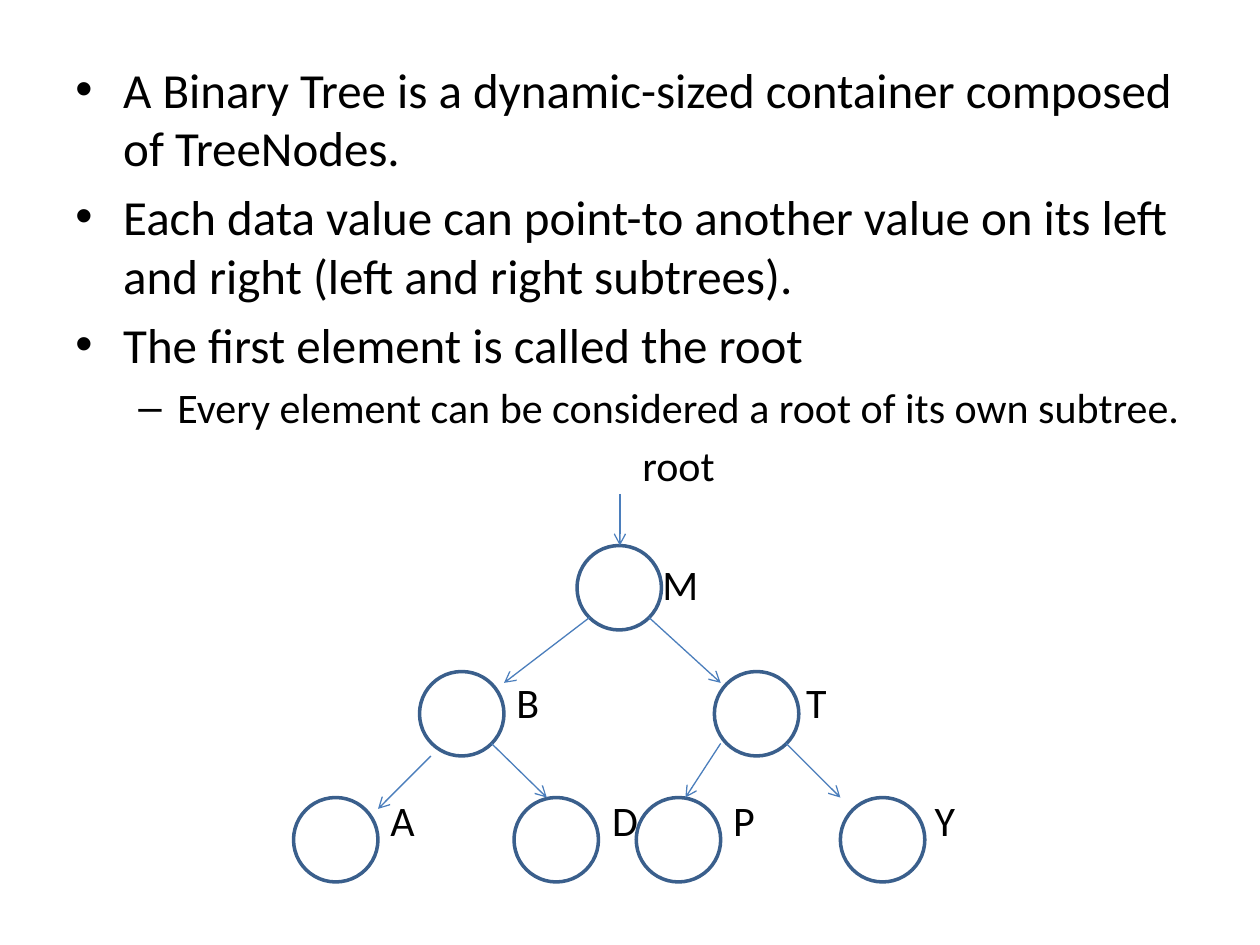
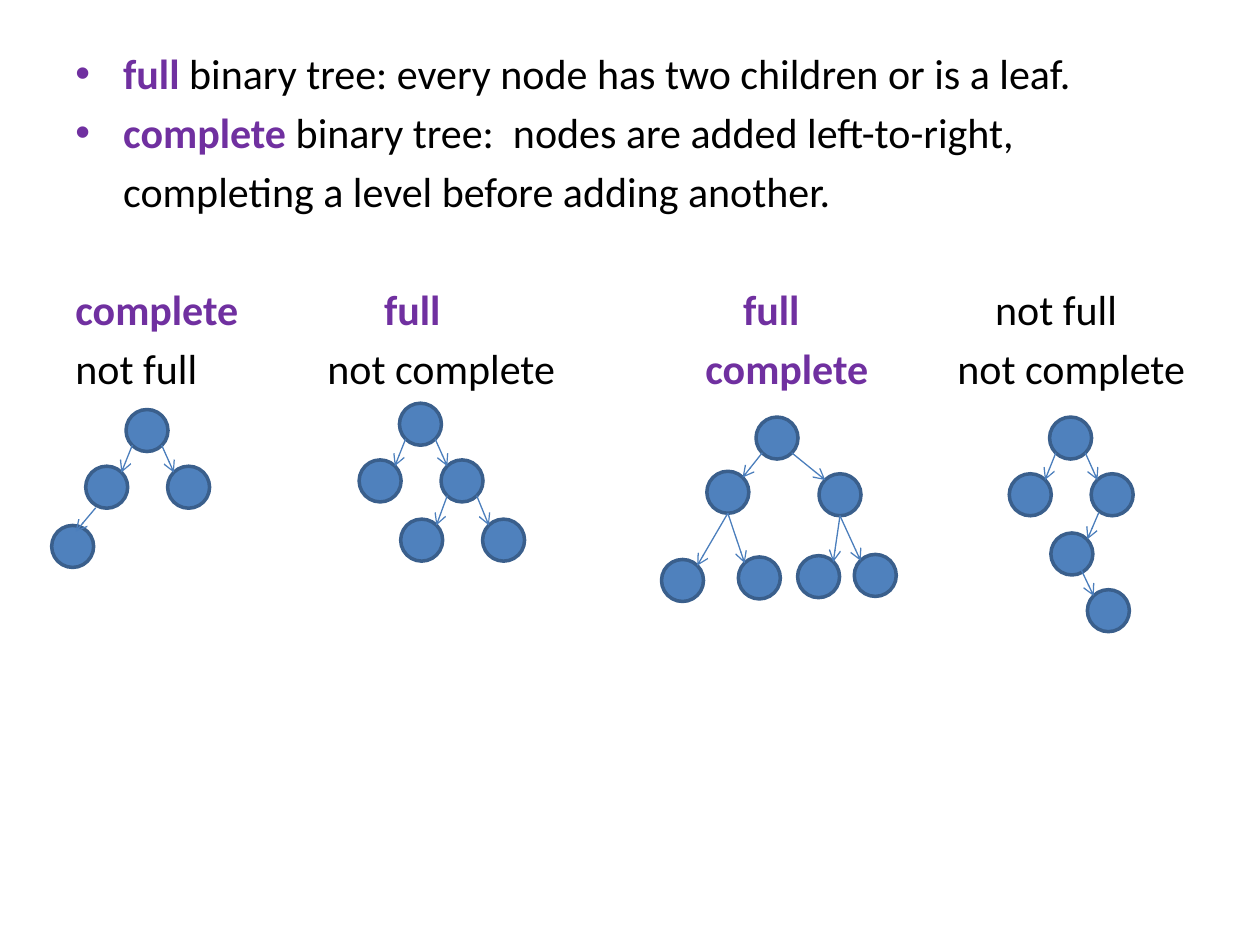
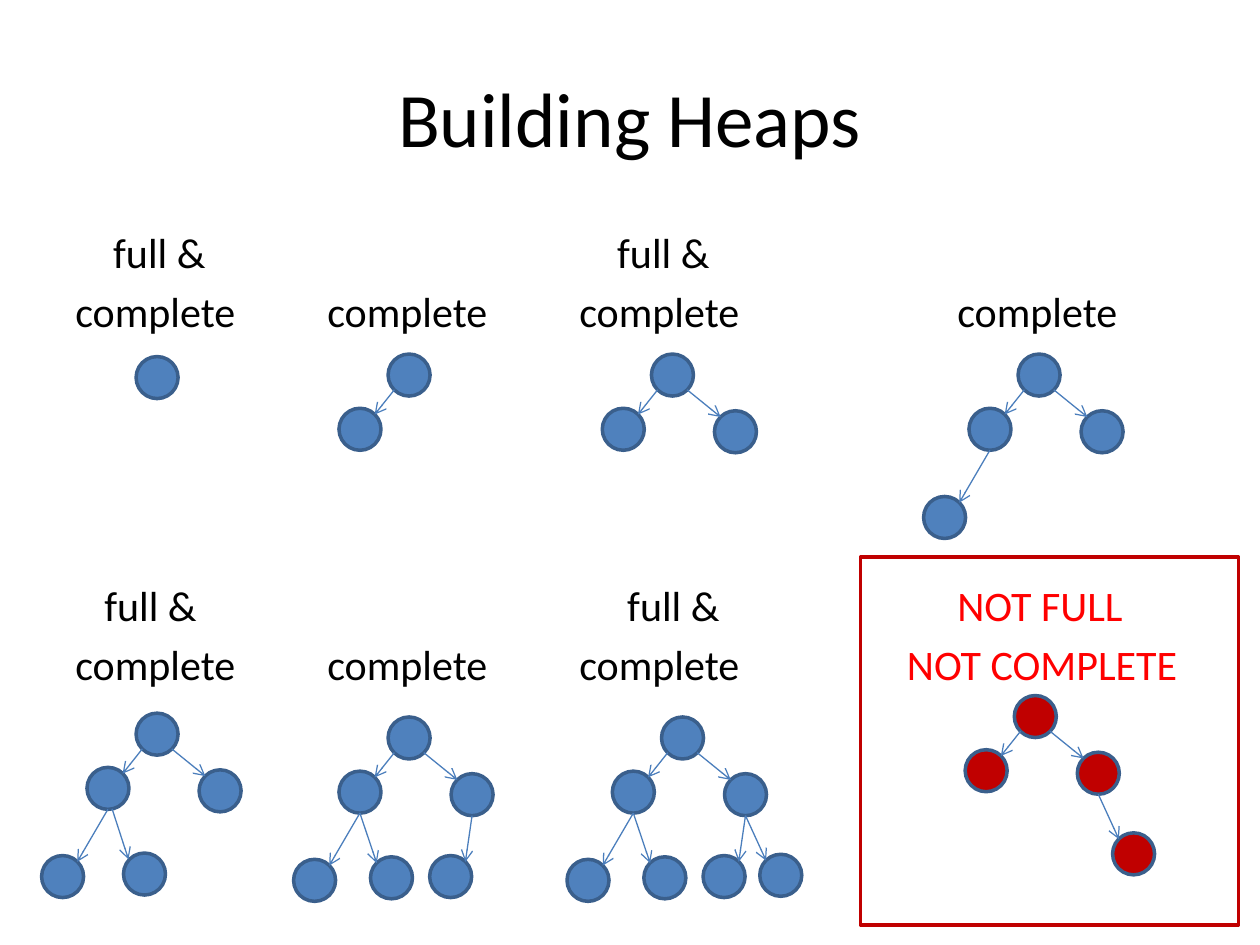
from lxml import etree
from pptx import Presentation
from pptx.dml.color import RGBColor
from pptx.enum.shapes import MSO_CONNECTOR, MSO_SHAPE
from pptx.enum.text import MSO_ANCHOR, PP_ALIGN
from pptx.oxml.ns import qn
from pptx.util import Inches, Pt

OVAL, RECT = MSO_SHAPE.OVAL, MSO_SHAPE.RECTANGLE
STRAIGHT = MSO_CONNECTOR.STRAIGHT
TOP, MIDDLE = MSO_ANCHOR.TOP, MSO_ANCHOR.MIDDLE
LEFT, CENTER = PP_ALIGN.LEFT, PP_ALIGN.CENTER

BLACK = RGBColor(0x00, 0x00, 0x00)
PURPLE = RGBColor(0x70, 0x30, 0xA0)
RED = RGBColor(0xFF, 0x00, 0x00)
DARK_RED = RGBColor(0xC0, 0x00, 0x00)
BLUE = RGBColor(0x4F, 0x81, 0xBD)
OUTLINE = RGBColor(0x3A, 0x5F, 0x8C)
ARROW = RGBColor(0x4B, 0x7E, 0xBC)

# Text formats
BODY = {"name": "Calibri", "size": Pt(24), "bold": False}
LARGE = {"size": Pt(28)}
TITLE = {"size": Pt(44)}
KEYWORD = {"bold": True, "color": PURPLE}
WARNING = {"color": RED}

GAP = 4.8           # points before a 24 pt paragraph
ROW = 0.47          # inches from one 24 pt paragraph to the next
SMALL = 1 / 3       # diameter of a small node

# Node offsets from the root; each letter of a name is a step left or right
BIG = {"": (0, 0), "L": (-1.25, 1), "R": (1.09, 1), "LL": (-2.25, 2),
       "LR": (-0.5, 2), "RL": (0.47, 2), "RR": (2.09, 2)}
NARROW = {"": (0, 0), "L": (-0.32, 0.45), "R": (0.33, 0.45),
          "LL": (-0.59, 0.92), "RL": (0.01, 0.92), "RR": (0.66, 0.92),
          "RLR": (0.3, 1.37)}
WIDE = {"": (0, 0), "L": (-0.39, 0.43), "R": (0.5, 0.45), "LL": (-0.75, 1.13),
        "LR": (-0.14, 1.11), "RL": (0.33, 1.1), "RR": (0.78, 1.09)}


def para(*runs, **options):
    """A paragraph: runs are strings or (string, format) pairs."""
    return [(r, {}) if isinstance(r, str) else r for r in runs], options


class Deck:
    def __init__(self):
        self.prs = Presentation()
        self.prs.slide_width, self.prs.slide_height = Inches(10), Inches(7.5)

    def new_slide(self):
        self.slide = self.prs.slides.add_slide(self.prs.slide_layouts[6])

    def text(self, box, paras, anchor=TOP, align=LEFT):
        sp = self.slide.shapes.add_textbox(*map(Inches, box))
        tf = sp.text_frame
        tf.word_wrap = True
        tf.vertical_anchor = anchor
        for i, (runs, options) in enumerate(paras):
            p = tf.add_paragraph() if i else tf.paragraphs[0]
            p.alignment = align
            self.layout(p, **options)
            for text, fmt in runs:
                r = p.add_run()
                r.text = text
                for key, value in {**BODY, "color": BLACK, **fmt}.items():
                    if key == "color":
                        r.font.color.rgb = value
                    else:
                        setattr(r.font, key, value)

    def label(self, x, y, *paras):
        """A caption of one or two lines, placed by its top left corner."""
        self.text((x, y, 2.4, ROW * len(paras) + 0.1), paras)

    def layout(self, p, before=GAP, level=0, left=0, hang=0, bullet=None):
        p.space_before = Pt(before)
        p.level = level
        pPr = p._p.get_or_add_pPr()
        pPr.set("marL", str(Inches(left)))
        pPr.set("indent", str(-Inches(hang)))
        if bullet:
            etree.SubElement(pPr, qn("a:buFont"), typeface="Arial")
            etree.SubElement(pPr, qn("a:buChar"), char=bullet)
        else:
            etree.SubElement(pPr, qn("a:buNone"))

    def shape(self, kind, box, fill=None, line=OUTLINE):
        sp = self.slide.shapes.add_shape(kind, *map(Inches, box))
        sp.shadow.inherit = False
        if fill is None:
            sp.fill.background()
        else:
            sp.fill.solid()
            sp.fill.fore_color.rgb = fill
        sp.line.color.rgb = line
        sp.line.width = Pt(2)

    def arrow(self, start, end):
        sp = self.slide.shapes.add_connector(STRAIGHT, *map(Inches, (*start, *end)))
        sp.line.color.rgb = ARROW
        sp.line.width = Pt(0.75)
        etree.SubElement(sp.line._get_or_add_ln(), qn("a:tailEnd"), type="arrow")
        etree.SubElement(sp._element.spPr, qn("a:effectLst"))

    def tree(self, x, y, offsets, names, fill=BLUE, size=SMALL, ends=None):
        """Draw the root at x, y, the named nodes, and an arrow to each one."""
        near, far = 0.15 * size, 0.85 * size
        for name in ["", *names]:
            dx, dy = offsets[name]
            left, top = x + dx, y + dy
            self.shape(OVAL, (left, top, size, size), fill)
            if not name:
                continue
            px, py = offsets[name[:-1]]
            goes_left = name[-1] == "L"
            if offsets is not NARROW and len(name) > 1:
                start = x + px + size / 2, y + py + size
            else:
                start = x + px + (near if goes_left else far), y + py + far
            end = left + (far if goes_left else near), top + near
            self.arrow(*(ends or {}).get(name, (start, end)))


deck = Deck()

# Slide 1: what a binary tree is
deck.new_slide()
point = {"left": 0.38, "hang": 0.38, "bullet": "•"}
deck.text((0.5, 0.42, 9, 7.08), [
    para(("A Binary Tree is a dynamic-sized container composed of TreeNodes.", LARGE),
         **point),
    para(("Each data value can point-to another value on its left and right "
          "(left and right subtrees).", LARGE), before=5.6, **point),
    para(("The first element is called the root", LARGE), before=5.6, **point),
    para("Every element can be considered a root of its own subtree.",
         level=1, left=0.81, hang=0.31, bullet="–"),
])
for x, row, name in [(5, 0, "root"), (5.16, 1, "M"), (4, 2, "B"), (6.3, 2, "T"),
                     (3, 3, "A"), (4.76, 3, "D"), (5.72, 3, "P"), (7.32, 3, "Y")]:
    deck.label(x, 3.44 + 2 * ROW * row, para(name))
deck.tree(4.58, 4.33, BIG, ["L", "R", "LL", "LR", "RL", "RR"], None, 0.67, ends={
    "L": ((4.68, 4.9), (4, 5.42)), "R": ((5.15, 4.9), (5.72, 5.42)),
    "LL": ((3.42, 6), (3, 6.42)), "LR": ((3.9, 5.9), (4.34, 6.33)),
    "RL": ((5.72, 5.9), (5.44, 6.33)), "RR": ((6.24, 5.9), (6.67, 6.33))})
deck.arrow((4.92, 3.92), (4.92, 4.33))

# Slide 2: full and complete trees
deck.new_slide()
deck.text((0.5, 0.33, 9.5, 1.6), [
    para(("full", KEYWORD), " binary tree: every node has two children or is a leaf.",
         **point),
    para(("complete", KEYWORD), " binary tree:  nodes are added left-to-right,", **point),
    para("completing a level before adding another.", left=0.38),
])
for x, indent, first, second in [
    (0.5, 0, ("complete", KEYWORD), "not full"),
    (2.5, 0.45, ("full", KEYWORD), "not complete"),
    (5.5, 0.3, ("full", KEYWORD), ("complete", KEYWORD)),
    (7.5, 0.3, "not full", "not complete"),
]:
    deck.label(x, 2.2, para(first, left=indent), para(second))
deck.tree(1, 3.25, NARROW, ["L", "R", "LL"], ends={"LL": ((0.76, 4.03), (0.6, 4.22))})
deck.tree(3.17, 3.2, NARROW, ["L", "R", "RL", "RR"])
deck.tree(6, 3.31, WIDE, ["L", "R", "RL", "RR", "LL", "LR"])
deck.tree(8.33, 3.31, NARROW, ["L", "R", "RL", "RLR"],
          ends={"RL": ((8.72, 4.07), (8.63, 4.28)), "RLR": ((8.58, 4.52), (8.68, 4.73))})

# Slide 3: a heap grows one node at a time
deck.new_slide()
deck.text((0.5, 0.3, 9, 1.25), [para(("Building Heaps", TITLE), before=0)],
          MIDDLE, CENTER)
UPPER, LOWER = 1.75, 4.55
for x, y, indent in [(0.5, UPPER, 0.3), (4.5, UPPER, 0.3),
                     (0.5, LOWER, 0.23), (4.5, LOWER, 0.38)]:
    deck.label(x, y, para("full &", left=indent), para("complete"))
for x, y in [(2.5, UPPER), (7.5, UPPER), (2.5, LOWER)]:
    deck.label(x, y + ROW, para("complete"))
deck.label(7.1, LOWER, para(("NOT FULL", WARNING), left=0.4),
           para(("NOT COMPLETE", WARNING)))
for x, y, names in [
    (1.08, 2.83, []),
    (3.08, 2.81, ["L"]),
    (5.17, 2.81, ["L", "R"]),
    (8.08, 2.81, ["L", "R", "LL"]),
    (3.08, 5.69, ["L", "R", "RL", "LL", "LR"]),
    (5.25, 5.69, ["L", "R", "RL", "RR", "LL", "LR"]),
]:
    deck.tree(x, y, WIDE, names)
deck.tree(1.08, 5.66, {**WIDE, "LR": (-0.1, 1.11)}, ["L", "R", "LL", "LR"],
          ends={"LR": ((0.89, 6.42), (1.02, 6.82))})
deck.tree(8.05, 5.52, WIDE, ["L", "R", "RR"], DARK_RED)
deck.shape(RECT, (6.83, 4.42, 3, 2.92), line=DARK_RED)

deck.prs.save("out.pptx")
